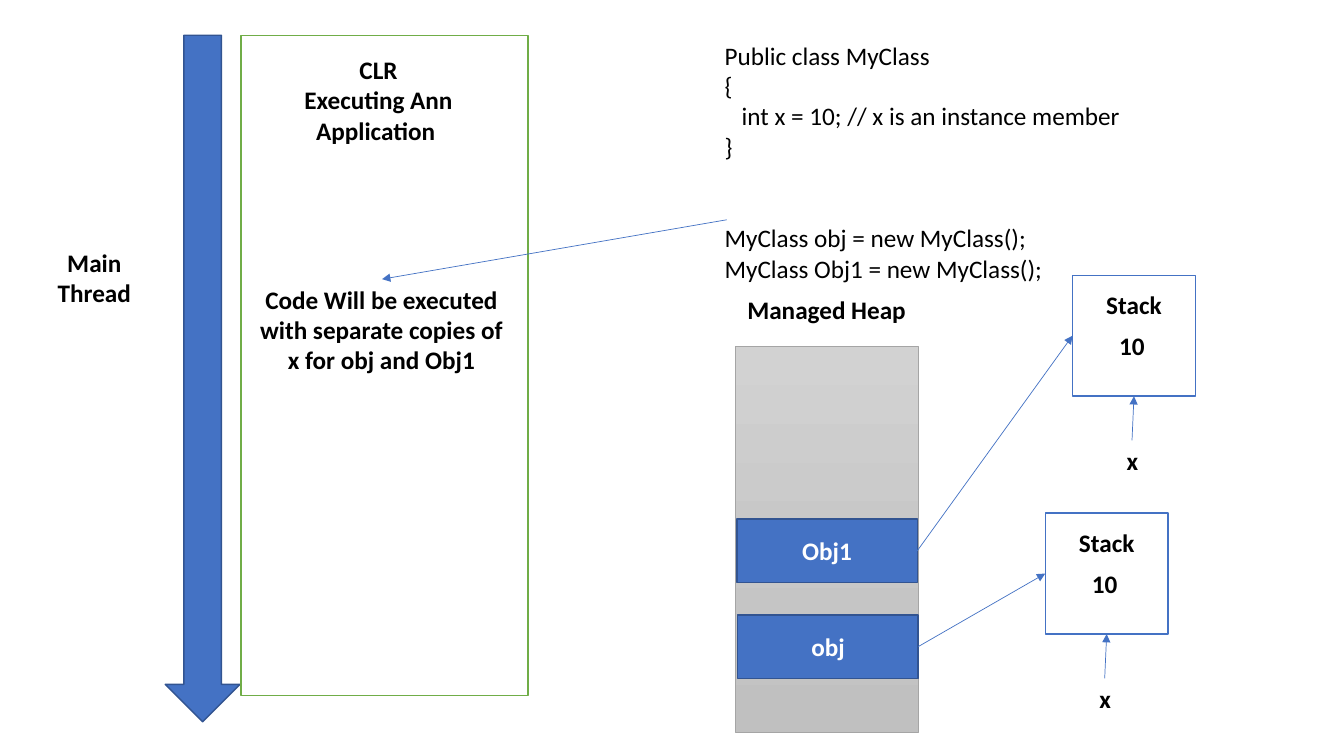
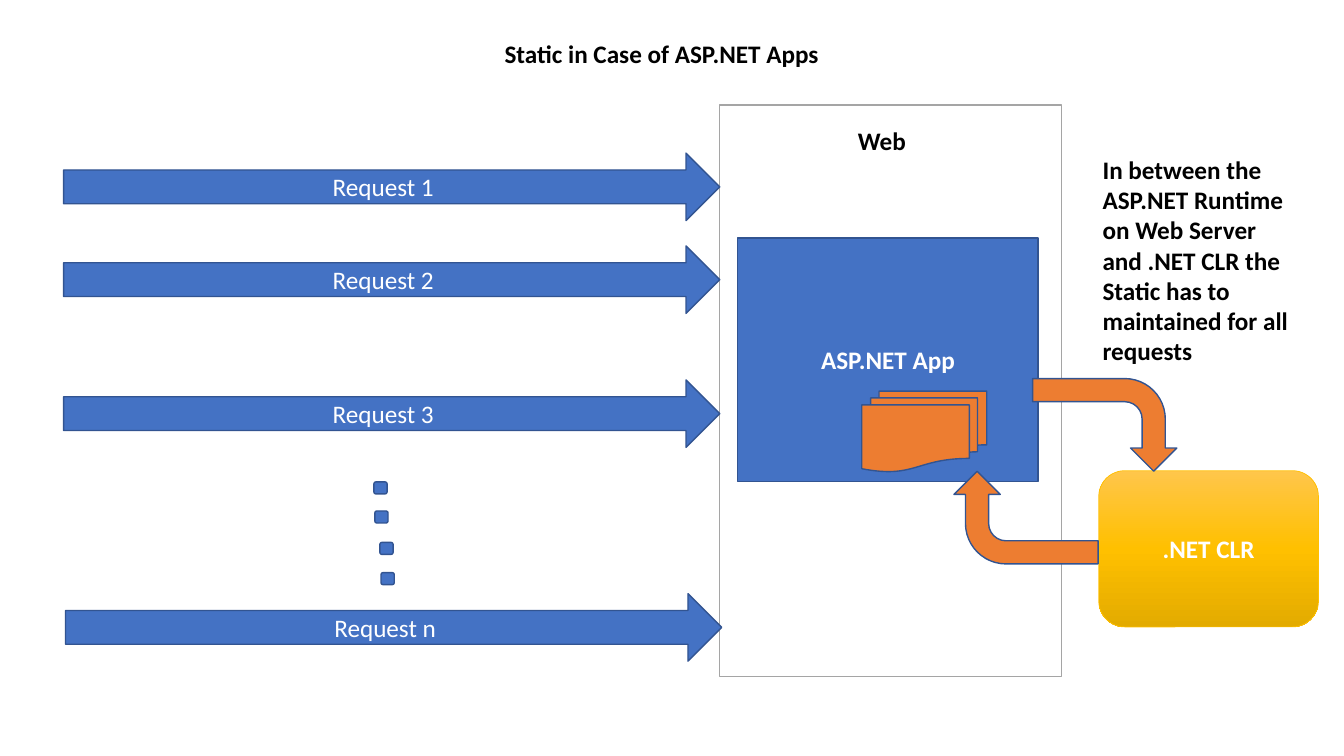
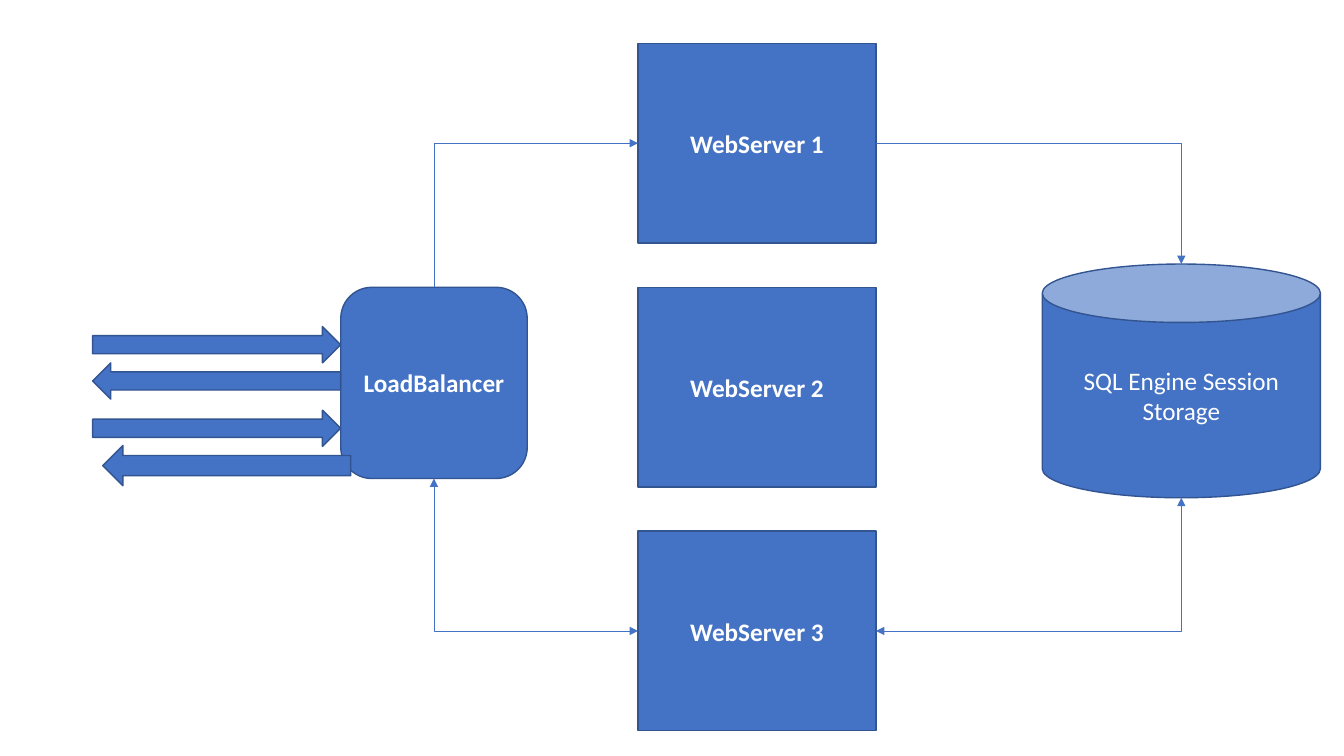
import copy
from dataclasses import dataclass

import pptx
import pptx.dml.color
import pptx.enum.shapes
import pptx.enum.text
import pptx.oxml
import pptx.oxml.ns
import pptx.util

Pt = pptx.util.Pt
SHAPE = pptx.enum.shapes.MSO_SHAPE
CONNECTOR = pptx.enum.shapes.MSO_CONNECTOR
ALIGN = pptx.enum.text.PP_ALIGN
ANCHOR = pptx.enum.text.MSO_ANCHOR


@dataclass(frozen=True)
class Theme:
    font: str = "Calibri"
    size: float = 18
    black: str = "000000"
    white: str = "FFFFFF"
    blue: str = "4472C4"
    navy: str = "325491"
    green: str = "70AD47"
    grey: str = "A5A5A5"
    orange: str = "ED7D31"
    gold: str = "FFC000"
    grey_fade: tuple = ("D2D2D2", "C8C8C8", "C0C0C0")
    gold_fade: tuple = ("FFC64B", "FFC000", "E3AB00")
    outline: float = 1
    hairline: float = 0.5


THEME = Theme()

# Content: instance members (text, left indent, space before)
CLASS_CODE = [
    ("Public class MyClass", 0, 0),
    ("{", 0, 0),
    ("int x = 10; // x is an instance member ", 12.2, 0),
    ("}", 0, 0),
    ("MyClass obj = new MyClass();", 0, 44),
    ("MyClass Obj1 = new MyClass(); ", 0, 0),
]
CLR_HEADING = ["CLR", "Executing Ann Application "]
CLR_RESULT = ["Code Will be executed with separate copies of x for obj and Obj1"]
# (name, slot left, slot top, stack left, stack top)
HEAP_OBJECTS = [("obj", 527, 439.2, 746.6, 366.5),
                ("Obj1", 526.3, 370.8, 766.1, 196.6)]
SLOT_SIZE = (128.9, 45.4)
STACK_SIZE = (87.8, 86.4)
# (text, offset x, offset y, width, height) from the stack's corner
STACK_LABELS = [("Stack", 0, 6.5, 87.8, 28.8),
                ("10", 5, 36, 74.9, 28.8),
                ("x", 11.5, 118, 62.6, 30.2)]

# Content: web requests
REQUESTS = [("Request 1", 45.4, 109.4), ("Request 2", 45.4, 175.7),
            ("Request 3", 45.4, 271.4), ("Request n", 46.8, 424.1)]
ELLIPSIS_DOTS = [(267.1, 344.2), (267.8, 365), (271.4, 387.4), (272.2, 409)]
STATIC_NOTE = ("In between the ASP.NET Runtime on Web Server and .NET CLR "
               "the Static has to maintained for all requests")
# (left, top, rotation)
RUNTIME_ARROWS = [(756, 252, 90), (699.8, 318.2, 270)]

# Content: load balancing
SERVERS = ["WebServer 1", "WebServer 2", "WebServer 3"]
SERVER_SIZE = (169.9, 142.6)
SERVER_PITCH = 174.2
# (shape, left, top, height)
TRAFFIC = [(SHAPE.RIGHT_ARROW, 66.2, 233.3, 25.9),
           (SHAPE.LEFT_ARROW, 66.2, 259.2, 25.9),
           (SHAPE.RIGHT_ARROW, 66.2, 293, 25.9),
           (SHAPE.LEFT_ARROW, 73.4, 318.2, 28.8)]


# Helpers
def rgb(value):
    return pptx.dml.color.RGBColor.from_string(value)


def write(frame, paragraphs, bold=True, color=THEME.black, align=ALIGN.CENTER,
          anchor=ANCHOR.TOP):
    frame.word_wrap = True
    frame.vertical_anchor = anchor
    for index, entry in enumerate(paragraphs):
        text, indent, before = (entry, 0, 0) if isinstance(entry, str) else entry
        paragraph = frame.paragraphs[0] if index == 0 else frame.add_paragraph()
        paragraph.alignment = align
        if before:
            paragraph.space_before = Pt(before)
        if indent:
            properties = paragraph._p.get_or_add_pPr()
            properties.set("marL", str(Pt(indent)))
            properties.set("indent", "0")
        run = paragraph.add_run()
        run.text = text
        run.font.name = THEME.font
        run.font.size = Pt(THEME.size)
        run.font.bold = bold
        run.font.color.rgb = rgb(color)


def label(slide, box, paragraphs, **text_format):
    frame = slide.shapes.add_textbox(*map(Pt, box)).text_frame
    write(frame, paragraphs, **text_format)


def paint(fill, color):
    if isinstance(color, str):
        fill.solid()
        fill.fore_color.rgb = rgb(color)
        return
    fill.gradient()
    fill.gradient_angle = 270
    first = fill.gradient_stops[0]._gs
    first.addnext(copy.deepcopy(first))
    for index, (stop, tone) in enumerate(zip(fill.gradient_stops, color)):
        stop.color.rgb = rgb(tone)
        stop.position = index / 2


def block(slide, kind, box, text=None, fill=THEME.blue, line=THEME.navy,
          width=THEME.outline, rotation=0, bold=True):
    shape = slide.shapes.add_shape(kind, *map(Pt, box))
    shape.shadow.inherit = False
    shape.rotation = rotation
    paint(shape.fill, fill)
    shape.line.color.rgb = rgb(line)
    shape.line.width = Pt(width)
    if text:
        write(shape.text_frame, [text], bold=bold, color=THEME.white,
              anchor=ANCHOR.MIDDLE)
    return shape


def arrow(slide, start, end, kind=CONNECTOR.STRAIGHT, ends=("tailEnd",)):
    connector = slide.shapes.add_connector(kind, *map(Pt, start + end))
    connector.line.color.rgb = rgb(THEME.blue)
    connector.line.width = Pt(THEME.hairline)
    line = connector.line._get_or_add_ln()
    for name in ends:
        tip = pptx.oxml.parse_xml(
            f'<a:{name} {pptx.oxml.ns.nsdecls("a")} type="triangle"/>')
        line.append(tip)
    line.addnext(pptx.oxml.parse_xml(
        f'<a:effectLst {pptx.oxml.ns.nsdecls("a")}/>'))
    return connector


def elbow(slide, server, server_site, target, target_site, start, end, ends):
    connector = arrow(slide, start, end, CONNECTOR.ELBOW, ends)
    connector.begin_connect(server, server_site)
    connector.end_connect(target, target_site)
    connector.begin_x, connector.begin_y = map(Pt, start)
    connector.end_x, connector.end_y = map(Pt, end)
    geometry = connector._element.spPr.find(pptx.oxml.ns.qn("a:prstGeom"))
    geometry.set("prst", "bentConnector2")


deck = pptx.Presentation()
deck.slide_width, deck.slide_height = Pt(960), Pt(540)


def new_slide():
    return deck.slides.add_slide(deck.slide_layouts[6])


# Slide 1: instance members on the heap
members = new_slide()
block(members, SHAPE.DOWN_ARROW, (118, 25.2, 53.5, 490.4))
label(members, (13, 172.8, 108.7, 51), ["Main Thread"])
block(members, SHAPE.RECTANGLE, (172.1, 25.2, 205.2, 471.6),
      fill=THEME.white, line=THEME.green)
label(members, (175.7, 35.3, 189.4, 72.7), CLR_HEADING)
label(members, (510.5, 25.2, 425.5, 203.8), CLASS_CODE, bold=False,
      align=ALIGN.LEFT)
block(members, SHAPE.RECTANGLE, (525.6, 247.7, 130.3, 275.8),
      fill=THEME.grey_fade, line=THEME.grey, width=THEME.hairline)
label(members, (519.1, 206.6, 142.6, 28.8), ["Managed Heap"])
for name, slot_x, slot_y, stack_x, stack_y in HEAP_OBJECTS:
    block(members, SHAPE.RECTANGLE, (slot_x, slot_y) + SLOT_SIZE, name)
    block(members, SHAPE.RECTANGLE, (stack_x, stack_y) + STACK_SIZE,
          fill=THEME.white, line=THEME.blue)
    for text, dx, dy, width, height in STACK_LABELS:
        label(members, (stack_x + dx, stack_y + dy, width, height), [text])
    arrow(members, (stack_x + 42.5, stack_y + 118),
          (stack_x + STACK_SIZE[0] / 2, stack_y + STACK_SIZE[1]))
    arrow(members, (slot_x + SLOT_SIZE[0], slot_y + SLOT_SIZE[1] / 2),
          (stack_x, stack_y + STACK_SIZE[1] / 2))
arrow(members, (519.1, 157), (272.9, 199.4))
label(members, (177.8, 199.4, 189.4, 72.7), CLR_RESULT)

# Slide 2: static members behind web requests
static = new_slide()
label(static, (187.2, 23.8, 571, 28.8), ["Static in Case of ASP.NET Apps"])
block(static, SHAPE.RECTANGLE, (514.1, 74.9, 244.1, 408.2),
      fill=THEME.white, line=THEME.grey)
label(static, (527, 85.7, 205.9, 28.8), ["Web"])
block(static, SHAPE.RECTANGLE, (527, 169.9, 214.6, 174.2), "ASP.NET App")
block(static, SHAPE.FLOWCHART_MULTIDOCUMENT, (615.6, 279.4, 89.3, 57.6),
      fill=THEME.orange)
block(static, SHAPE.FLOWCHART_ALTERNATE_PROCESS, (784.8, 336.2, 157, 111.6),
      ".NET CLR", fill=THEME.gold_fade, line=THEME.gold, width=THEME.hairline)
for left, top, rotation in RUNTIME_ARROWS:
    block(static, SHAPE.BENT_ARROW, (left, top, 66.2, 103),
          fill=THEME.orange, rotation=rotation)
label(static, (780.5, 106.6, 165.6, 138.2), [STATIC_NOTE], align=ALIGN.LEFT)
for request, left, top in REQUESTS:
    block(static, SHAPE.RIGHT_ARROW, (left, top, 468.7, 48.2), request,
          bold=False)
for left, top in ELLIPSIS_DOTS:
    block(static, SHAPE.FLOWCHART_ALTERNATE_PROCESS, (left, top, 9.4, 8.6))

# Slide 3: load balancer, servers and session storage
balancing = new_slide()
server_x, server_y = 455.8, 31
server_w, server_h = SERVER_SIZE
servers = [
    block(balancing, SHAPE.RECTANGLE,
          (server_x, server_y + row * SERVER_PITCH) + SERVER_SIZE, name)
    for row, name in enumerate(SERVERS)
]
balancer_box = (243.4, 205.2, 133.2, 136.6)
storage_box = (744.5, 188.6, 198.7, 167)
balancer = block(balancing, SHAPE.ROUNDED_RECTANGLE, balancer_box, "LoadBalancer")
storage = block(balancing, SHAPE.CAN, storage_box, "SQL Engine Session Storage",
                bold=False)
for kind, left, top, height in TRAFFIC:
    block(balancing, kind, (left, top, 177.1, height))

# Elbows run level from a server, then turn to the balancer or the storage
first_y = server_y + server_h / 2
last_y = first_y + 2 * SERVER_PITCH
both = ("headEnd", "tailEnd")
sides = [(balancer, balancer_box, server_x, 1, 0, 2, ("headEnd",)),
         (storage, storage_box, server_x + server_w, 3, 1, 3, ("tailEnd",))]
for target, (left, top, width, height), edge, site, upper, lower, ends in sides:
    middle = left + width / 2
    elbow(balancing, servers[0], site, target, upper,
          (edge, first_y), (middle, top), ends)
    elbow(balancing, servers[-1], site, target, lower,
          (edge, last_y), (middle, top + height), both)

deck.save("out.pptx")
